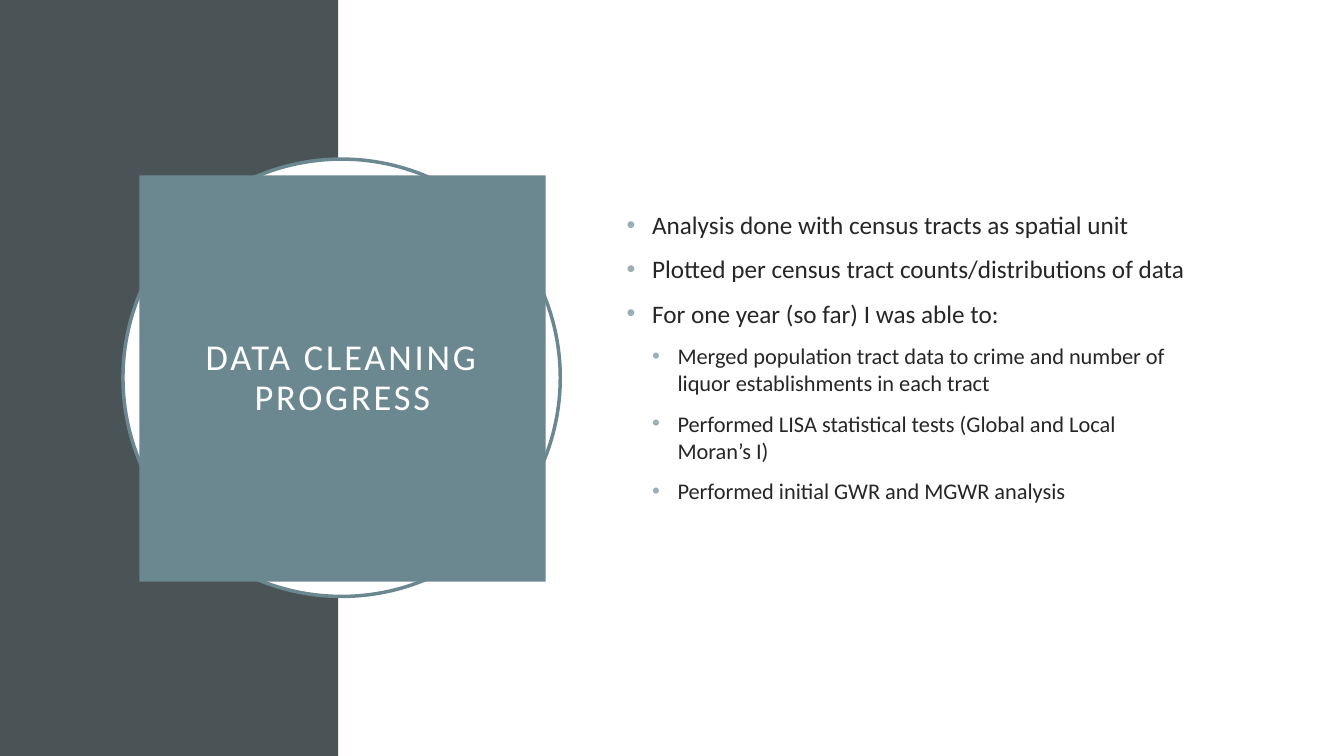
from pptx import Presentation
from pptx import util as u
from pptx.dml.color import RGBColor
from pptx.enum import shapes, text
from pptx.oxml.ns import qn
from lxml import etree

COLORS = {"dark": "4A5356", "white": "FFFFFF", "teal": "6B8891",
          "bullet": "9BAFB5", "ink": "262626"}
TITLE = "DATA CLEANING PROGRESS"
POINTS = [
    (0, "Analysis done with census tracts as spatial unit"),
    (0, "Plotted per census tract counts/distributions of data"),
    (0, "For one year (so far) I was able to:"),
    (1, "Merged population tract data to crime and number of liquor establishments in each tract"),
    (1, "Performed LISA statistical tests (Global and Local Moran’s I)"),
    (1, "Performed initial GWR and MGWR analysis"),
]


class Deck:
    font = "Calibri"
    sizes = (18, 16)
    indent = 0.64

    def __init__(self, width, height):
        self.prs = Presentation()
        self.prs.slide_width = u.Cm(width)
        self.prs.slide_height = u.Cm(height)
        self.slide = self.prs.slides.add_slide(self.prs.slide_layouts[1])

    def color(self, name):
        return RGBColor.from_string(COLORS[name])

    def fill(self, sp, name):
        sp.fill.solid()
        sp.fill.fore_color.rgb = self.color(name)

    def shape(self, kind, box, fill, line=None):
        sp = self.slide.shapes.add_shape(kind, *map(u.Cm, box))
        sp.shadow.inherit = False
        self.fill(sp, fill)
        if line:
            sp.line.color.rgb = self.color(line)
            sp.line.width = u.Pt(2.5)
        else:
            sp.line.fill.background()

    def place(self, sp, box):
        sp.left, sp.top, sp.width, sp.height = map(u.Cm, box)
        sp.element.getparent().append(sp.element)
        tf = sp.text_frame
        tf.word_wrap = True
        tf.auto_size = text.MSO_AUTO_SIZE.NONE
        tf.vertical_anchor = text.MSO_ANCHOR.MIDDLE
        return tf

    def run(self, p, words, size, color):
        r = p.add_run()
        r.text = words
        r.font.name = self.font
        r.font.size = u.Pt(size)
        r.font.color.rgb = self.color(color)
        return r

    def title(self, words, box):
        sp = self.slide.shapes.title
        tf = self.place(sp, box)
        self.fill(sp, "teal")
        tf.margin_left = tf.margin_right = tf.margin_top = tf.margin_bottom = u.Cm(0.51)
        p = tf.paragraphs[0]
        p.alignment = text.PP_ALIGN.CENTER
        p.line_spacing = 0.9
        r = self.run(p, words, 26, "white")
        r.font._element.set("spc", "200")

    def bullets(self, items, box):
        tf = self.place(self.slide.placeholders[1], box)
        tf.margin_bottom = u.Cm(1.17)
        for i, (level, words) in enumerate(items):
            p = tf.add_paragraph() if i else tf.paragraphs[0]
            p.level = level
            p.space_before = u.Pt(10)
            self.run(p, words, self.sizes[level], "ink")
            pPr = p._p.get_or_add_pPr()
            pPr.set("marL", str(u.Cm(self.indent * (level + 1))))
            pPr.set("indent", str(-u.Cm(self.indent)))
            clr = etree.SubElement(pPr, qn("a:buClr"))
            etree.SubElement(clr, qn("a:srgbClr"), val=COLORS["bullet"])
            etree.SubElement(pPr, qn("a:buFont"), typeface="Arial")
            etree.SubElement(pPr, qn("a:buChar"), char="•")


def main():
    width, height, split = 33.87, 19.05, 8.53
    rect, oval = shapes.MSO_SHAPE.RECTANGLE, shapes.MSO_SHAPE.OVAL
    deck = Deck(width, height)
    deck.shape(rect, (0, 0, split, height), "dark")
    deck.shape(rect, (split, 0, width - split, height), "white")
    deck.shape(oval, (3.1, 4.01, 11.02, 11.02), "white", "teal")
    deck.title(TITLE, (3.51, 4.42, 10.24, 10.24))
    deck.bullets(POINTS, (15.54, 3.89, 14.78, 11.25))
    deck.prs.save("out.pptx")


if __name__ == "__main__":
    main()
